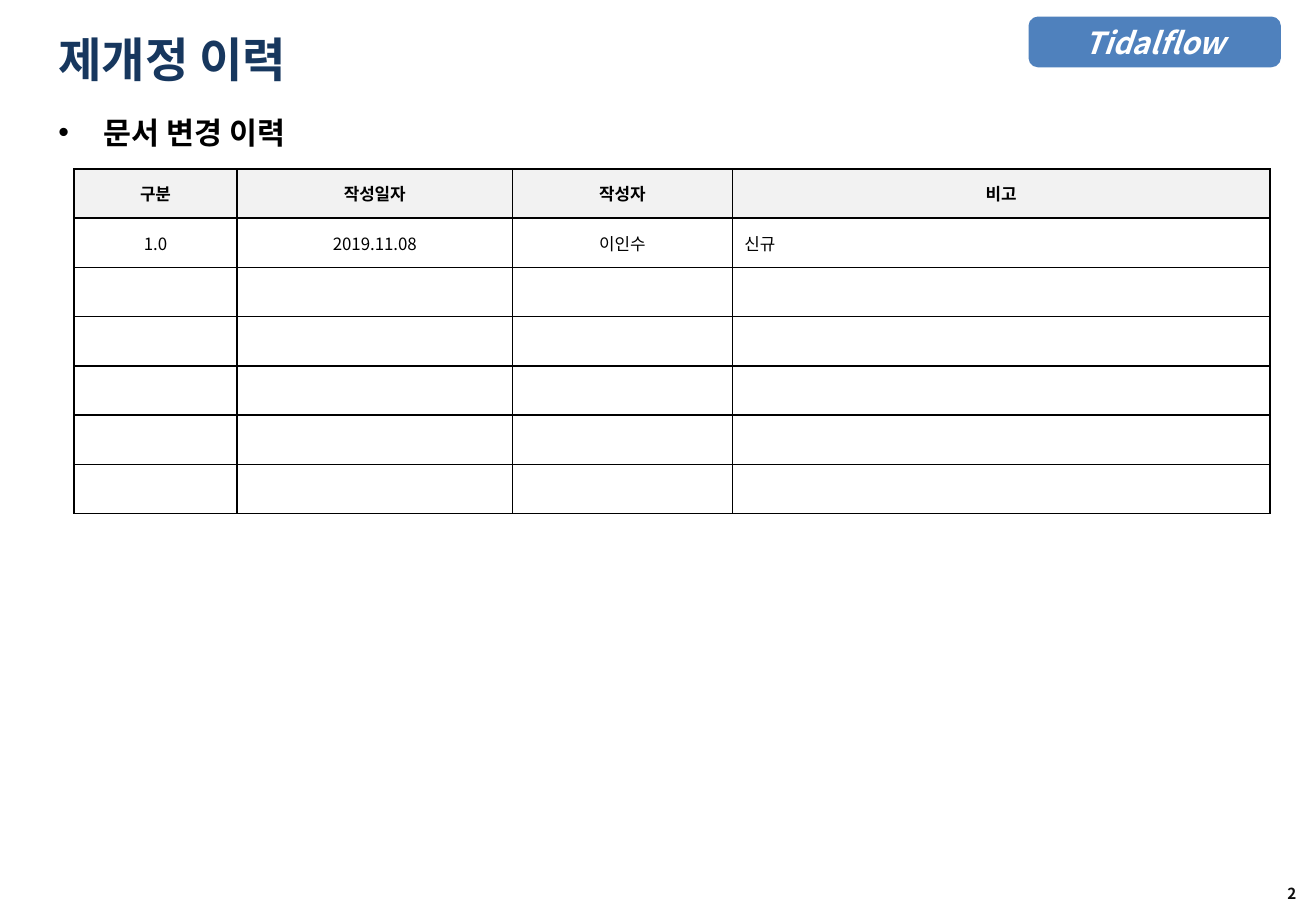
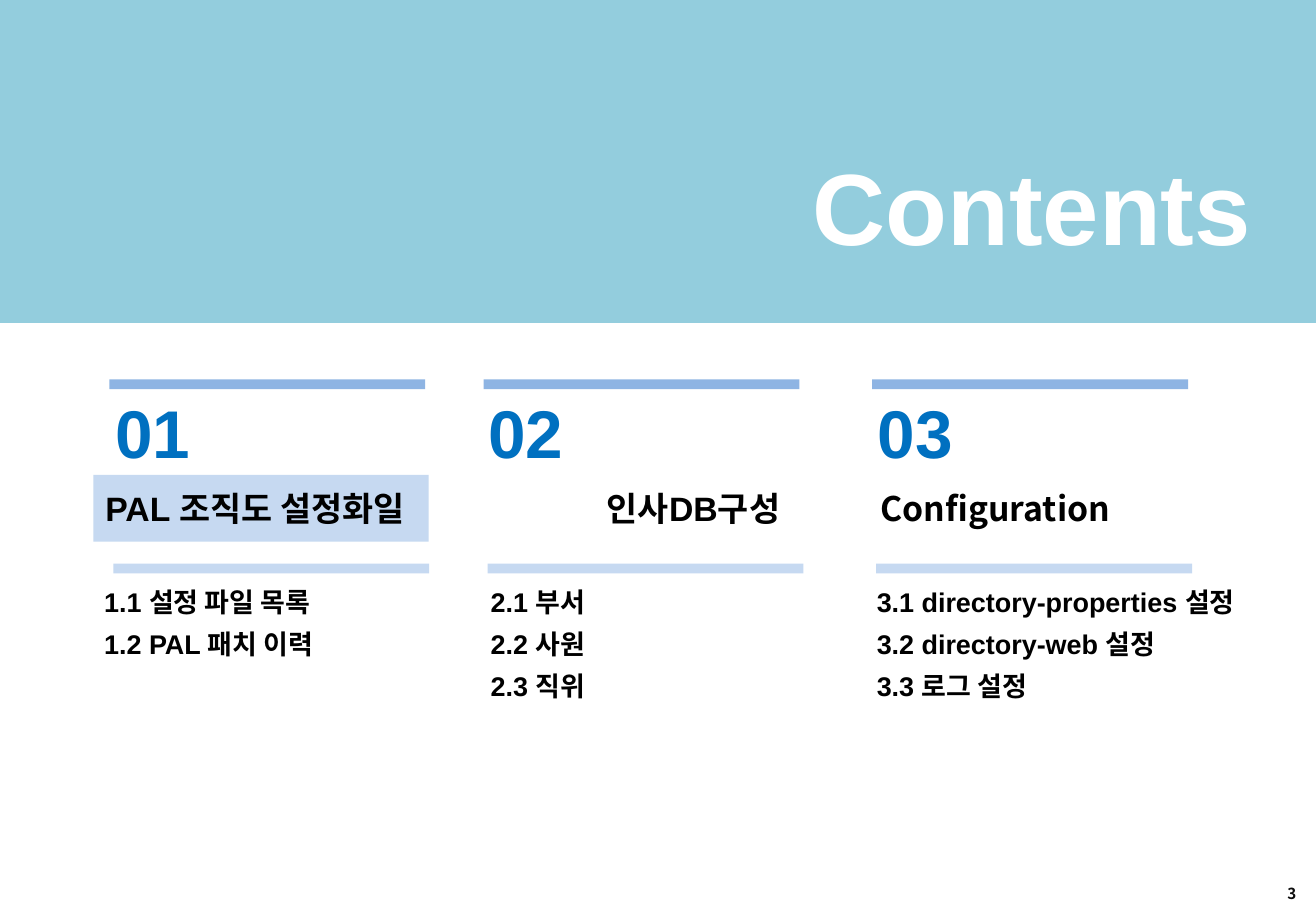
import dataclasses

import lxml.etree
import pptx
import pptx.dml.color
import pptx.enum.shapes
import pptx.enum.text
import pptx.oxml.ns
import pptx.util

Pt = pptx.util.Pt
qn = pptx.oxml.ns.qn
Align = pptx.enum.text.PP_ALIGN
Anchor = pptx.enum.text.MSO_ANCHOR
Preset = pptx.enum.shapes.MSO_SHAPE


@dataclasses.dataclass(frozen=True)
class Theme:
    korean: str = "Noto Sans CJK KR"
    latin: str = "Arial"
    black: str = "000000"
    white: str = "FFFFFF"
    title: str = "17375E"
    badge: str = "4F81BD"
    page_number: str = "0D0D0D"
    table_header: str = "F2F2F2"
    band: str = "93CDDD"
    top_rule: str = "8EB4E3"
    pale: str = "C6D9F1"
    section_number: str = "0070C0"
    title_size: int = 28
    cover_size: int = 60
    number_size: int = 40
    heading_size: int = 20
    subject_size: int = 18
    item_size: int = 16
    table_size: int = 10
    page_size: int = 9


@dataclasses.dataclass(frozen=True)
class Section:
    number: str
    heading: str
    items: tuple
    rule_left: float
    number_left: float
    heading_left: float
    heading_width: float
    list_left: float
    list_width: float
    number_align: Align = Align.LEFT
    heading_align: Align = Align.LEFT
    heading_font: str = "Arial"


THEME = Theme()
WIDTH, HEIGHT = 780, 540
RULE_WIDTH, RULE_HEIGHT = 187.2, 5.8
TITLE_WIDTH, TITLE_HEIGHT = 702, 39.6
HEADING_TOP = 281.5

HISTORY = [
    ("구분", "작성일자", "작성자", "비고"),
    ("1.0", "2019.11.08", "이인수", "신규"),
] + [("",) * 4] * 5
HISTORY_WIDTHS = (96.5, 163.4, 130.3, 318.6)
HISTORY_ROW_HEIGHT = 29.2

SECTIONS = (
    Section("01", "PAL 조직도 설정화일", ("1.1 설정 파일 목록", "1.2 PAL 패치 이력"),
            64.8, 61.2, 55.4, 209.5, 54.7, 191.5),
    Section("02", "인사DB구성", ("2.1 부서", "2.2 사원", "2.3 직위"),
            286.6, 282.2, 254.2, 215.3, 283.7, 214.6, heading_align=Align.RIGHT),
    Section("03", "Configuration",
            ("3.1 directory-properties 설정", "3.2 directory-web 설정", "3.3 로그 설정"),
            517, 486.7, 514.8, 209.5, 512.6, 245.5,
            number_align=Align.RIGHT, heading_font=THEME.korean),
)


def rgb(color):
    return pptx.dml.color.RGBColor.from_string(color)


def place(shape, left, top, width, height):
    shape.left, shape.top = Pt(left), Pt(top)
    shape.width, shape.height = Pt(width), Pt(height)


def style_run(run, size, color, font, bold=True, italic=False):
    run.font.size = Pt(size)
    run.font.color.rgb = rgb(color)
    run.font.name = font
    run.font.bold = bold
    run.font.italic = italic
    east_asian = lxml.etree.Element(qn("a:ea"), typeface=THEME.korean)
    run.font._element.find(qn("a:latin")).addnext(east_asian)


def write(frame, lines, size, color, font, align=Align.LEFT, anchor=Anchor.MIDDLE,
          spacing=1.0, bold=True, italic=False):
    frame.text = "\n".join(lines)
    frame.word_wrap = True
    frame.auto_size = pptx.enum.text.MSO_AUTO_SIZE.NONE
    frame.vertical_anchor = anchor
    for paragraph in frame.paragraphs:
        paragraph.alignment = align
        paragraph.line_spacing = spacing
        for run in paragraph.runs:
            style_run(run, size, color, font, bold, italic)


def add_label(slide, box, lines, size, color, font, **style):
    label = slide.shapes.add_textbox(*map(Pt, box))
    write(label.text_frame, lines, size, color, font, **style)
    return label


def add_block(slide, box, color, preset=Preset.RECTANGLE):
    block = slide.shapes.add_shape(preset, *map(Pt, box))
    block.shadow.inherit = False
    block.fill.solid()
    block.fill.fore_color.rgb = rgb(color)
    block.line.fill.background()
    return block


def set_title(slide, text, left, top, size, color, font, align=Align.LEFT):
    title = slide.shapes.title
    place(title, left, top, TITLE_WIDTH, TITLE_HEIGHT)
    write(title.text_frame, [text], size, color, font, align=align)
    slide.shapes.element.append(title.element)


def add_page_number(slide, number):
    label = add_label(slide, (594.7, 514.8, 182.2, 29.5), [str(number)], THEME.page_size,
                      THEME.page_number, THEME.korean, align=Align.RIGHT)
    frame = label.text_frame
    frame.margin_left = frame.margin_right = Pt(8.6)
    frame.margin_top = frame.margin_bottom = Pt(4.3)
    run = frame.paragraphs[0].runs[0]._r
    run.tag = qn("a:fld")
    run.set("id", "{B6F15528-21DE-4FAA-801E-634DDDAF4B2B}")
    run.set("type", "slidenum")


def add_badge(slide, text):
    badge = add_block(slide, (610.6, 10.8, 147.6, 28.1), THEME.badge, Preset.ROUNDED_RECTANGLE)
    badge.line.color.rgb = rgb(THEME.badge)
    badge.line.width = Pt(2)
    write(badge.text_frame, [text], THEME.subject_size, THEME.white, THEME.korean,
          align=Align.CENTER, italic=True)


def set_subject(slide, text):
    subject = slide.placeholders[1]
    place(subject, 27.4, 61.9, 713.5, 32.4)
    write(subject.text_frame, [text], THEME.subject_size, THEME.black, THEME.korean,
          anchor=Anchor.TOP, spacing=1.1)
    paragraph = subject.text_frame.paragraphs[0]
    paragraph.space_before = Pt(5.4)
    properties = paragraph._p.get_or_add_pPr()
    properties.set("marL", str(Pt(27)))
    properties.set("indent", str(Pt(-27)))


def set_borders(cell):
    properties = cell._tc.get_or_add_tcPr()
    for side in ("a:lnL", "a:lnR", "a:lnT", "a:lnB"):
        border = lxml.etree.SubElement(properties, qn(side), w=str(Pt(1)))
        fill = lxml.etree.SubElement(border, qn("a:solidFill"))
        lxml.etree.SubElement(fill, qn("a:srgbClr"), val=THEME.black)


def fill_cell(cell, text, header, align):
    set_borders(cell)
    if header:
        cell.fill.solid()
        cell.fill.fore_color.rgb = rgb(THEME.table_header)
    else:
        cell.fill.background()
    cell.vertical_anchor = Anchor.MIDDLE
    cell.text_frame.text = text
    paragraph = cell.text_frame.paragraphs[0]
    paragraph.alignment = align
    for run in paragraph.runs:
        style_run(run, THEME.table_size, THEME.black, THEME.korean, bold=header)
    if not text:
        lxml.etree.SubElement(paragraph._p, qn("a:endParaRPr"), sz=str(THEME.table_size * 100))


def add_history_table(slide):
    height = HISTORY_ROW_HEIGHT * len(HISTORY)
    box = (43.9, 100.1, sum(HISTORY_WIDTHS), height)
    table = slide.shapes.add_table(len(HISTORY), len(HISTORY_WIDTHS), *map(Pt, box)).table
    table.first_row = table.horz_banding = False
    for column, width in zip(table.columns, HISTORY_WIDTHS):
        column.width = Pt(width)
    for row_index, entry in enumerate(HISTORY):
        table.rows[row_index].height = Pt(HISTORY_ROW_HEIGHT)
        header = row_index == 0
        for column_index, text in enumerate(entry):
            is_remark = column_index == len(entry) - 1 and not header
            align = Align.LEFT if is_remark else Align.CENTER
            fill_cell(table.cell(row_index, column_index), text, header, align)


def add_section(slide, section):
    add_block(slide, (section.rule_left, 224.9, RULE_WIDTH, RULE_HEIGHT), THEME.top_rule)
    add_block(slide, (section.rule_left + 2.4, 334.1, RULE_WIDTH, RULE_HEIGHT), THEME.pale)
    add_label(slide, (section.number_left, 236.2, 85, TITLE_HEIGHT), [section.number],
              THEME.number_size, THEME.section_number, THEME.latin, align=section.number_align)
    add_label(slide, (section.heading_left, HEADING_TOP, section.heading_width, TITLE_HEIGHT),
              [section.heading], THEME.heading_size, THEME.black, section.heading_font,
              align=section.heading_align)
    add_label(slide, (section.list_left, 337.7, section.list_width, 136), section.items,
              THEME.item_size, THEME.black, THEME.latin, anchor=Anchor.TOP, spacing=1.3)


def build_history(slide):
    add_badge(slide, "Tidalflow")
    set_title(slide, "제개정 이력", 27.4, 15.1, THEME.title_size, THEME.title, THEME.korean)
    set_subject(slide, "문서 변경 이력")
    add_history_table(slide)


def build_contents(slide):
    add_block(slide, (0, 0, WIDTH, 191.5), THEME.band)
    add_block(slide, (55.4, HEADING_TOP, 198.7, TITLE_HEIGHT), THEME.pale)
    for section in SECTIONS:
        add_section(slide, section)
    set_title(slide, "Contents", 46.8, 101.5, THEME.cover_size, THEME.white, THEME.latin,
              align=Align.RIGHT)


def main():
    deck = pptx.Presentation()
    deck.slide_width, deck.slide_height = Pt(WIDTH), Pt(HEIGHT)
    first_page = 2
    deck.element.set("firstSlideNum", str(first_page))
    pages = ((1, build_history), (5, build_contents))
    for number, (layout, build) in enumerate(pages, first_page):
        slide = deck.slides.add_slide(deck.slide_layouts[layout])
        build(slide)
        add_page_number(slide, number)
    deck.save("out.pptx")


main()
